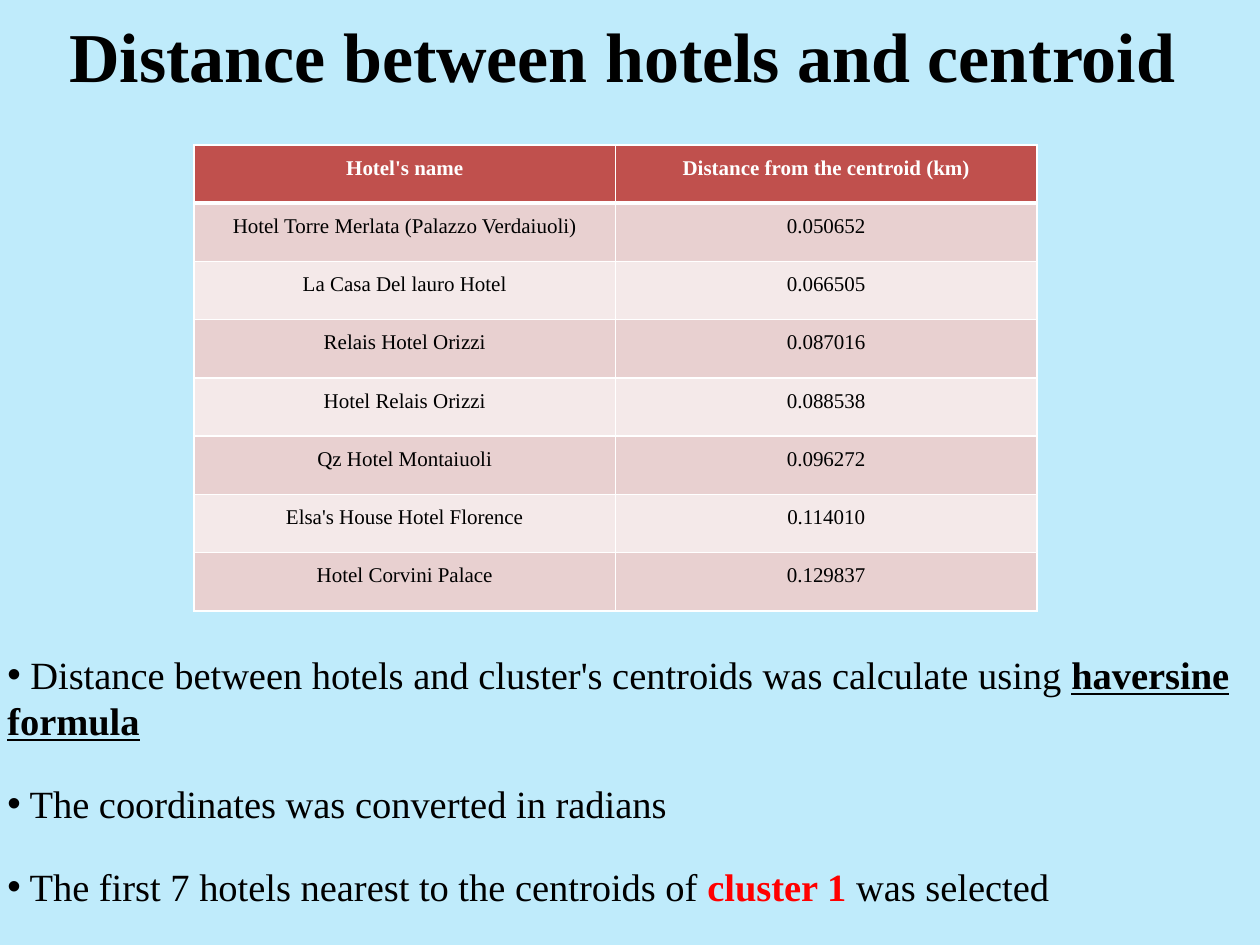
from dataclasses import dataclass
from typing import Optional

import lxml.etree
import pptx
import pptx.dml.color
import pptx.enum.text
import pptx.oxml.ns
import pptx.util

Inches = pptx.util.Inches
Pt = pptx.util.Pt
qn = pptx.oxml.ns.qn
ALIGN = pptx.enum.text.PP_ALIGN


@dataclass(frozen=True)
class Theme:
    font: str = "Times New Roman"
    background: str = "BFEBFB"
    ink: str = "000000"
    accent: str = "FF0000"
    border: str = "FFFFFF"
    header: str = "C0504D"
    bands: tuple[str, str] = ("E8D0D0", "F4E9E9")
    title_size: int = 40
    table_size: int = 12
    body_size: int = 22


@dataclass(frozen=True)
class Hotel:
    name: str
    distance: str


@dataclass(frozen=True)
class Phrase:
    text: str
    color: str = Theme.ink
    bold: bool = False
    underline: bool = False


THEME = Theme()
HEADINGS = ("Hotel's name", "Distance from the centroid (km)")
HOTELS = (
    Hotel("Hotel Torre Merlata (Palazzo Verdaiuoli)", "0.050652"),
    Hotel("La Casa Del lauro Hotel", "0.066505"),
    Hotel("Relais Hotel Orizzi", "0.087016"),
    Hotel("Hotel Relais Orizzi", "0.088538"),
    Hotel("Qz Hotel Montaiuoli", "0.096272"),
    Hotel("Elsa's House Hotel Florence", "0.114010"),
    Hotel("Hotel Corvini Palace", "0.129837"),
)
NOTES = (
    (
        Phrase(" Distance between hotels and cluster's centroids was calculate using "),
        Phrase("haversine formula", bold=True, underline=True),
    ),
    (Phrase(" The coordinates was converted in radians"),),
    (
        Phrase(" The first 7 hotels nearest to the centroids of "),
        Phrase("cluster 1 ", color=THEME.accent, bold=True),
        Phrase("was selected"),
    ),
)


def rgb(color: str) -> pptx.dml.color.RGBColor:
    return pptx.dml.color.RGBColor.from_string(color)


def add_text(paragraph, text: str, *, size: int, color: str = THEME.ink,
             bold: bool = False, underline: bool = False,
             align: Optional[ALIGN] = None) -> None:
    run = paragraph.add_run()
    run.text = text
    run.font.name = THEME.font
    run.font.size = Pt(size)
    run.font.color.rgb = rgb(color)
    run.font.bold = bold
    run.font.underline = underline
    if align is not None:
        paragraph.alignment = align


def set_border(cell, side: str, width: float) -> None:
    """Draw one cell side: L, R, T or B. Call before filling the cell."""
    line = lxml.etree.SubElement(
        cell._tc.get_or_add_tcPr(), qn(f"a:ln{side}"), w=str(Pt(width)))
    solid = lxml.etree.SubElement(line, qn("a:solidFill"))
    lxml.etree.SubElement(solid, qn("a:srgbClr"), val=THEME.border)


def format_cell(cell, text: str, row: int) -> None:
    is_header = row == 0
    widths = {"L": 1, "R": 1, "T": 3 if row == 1 else 1, "B": 3 if is_header else 1}
    for side, width in widths.items():
        set_border(cell, side, width)
    cell.fill.solid()
    cell.fill.fore_color.rgb = rgb(
        THEME.header if is_header else THEME.bands[(row - 1) % 2])
    cell.margin_left = cell.margin_right = Inches(0.07)
    cell.margin_top = cell.margin_bottom = 0
    paragraph = cell.text_frame.paragraphs[0]
    paragraph.line_spacing = 1.5
    add_text(paragraph, text, size=THEME.table_size, bold=is_header,
             color=THEME.border if is_header else THEME.ink, align=ALIGN.CENTER)


def add_title(slide) -> None:
    title = slide.shapes.title
    title.left, title.top = Inches(0.04), Inches(0.05)
    title.width, title.height = Inches(9.8), Inches(1.08)
    frame = title.text_frame
    frame.word_wrap = True
    frame.auto_size = pptx.enum.text.MSO_AUTO_SIZE.NONE
    frame.vertical_anchor = pptx.enum.text.MSO_ANCHOR.TOP
    add_text(frame.paragraphs[0], "Distance between hotels and centroid",
             size=THEME.title_size, bold=True, align=ALIGN.CENTER)


def add_hotel_table(slide) -> None:
    rows = [HEADINGS] + [(hotel.name, hotel.distance) for hotel in HOTELS]
    table = slide.shapes.add_table(
        len(rows), len(HEADINGS), Inches(1.54), Inches(1.15),
        Inches(6.69), Inches(3.7)).table
    for row, texts in enumerate(rows):
        for column, text in enumerate(texts):
            format_cell(table.cell(row, column), text, row)


def add_bullet(paragraph) -> None:
    properties = paragraph._p.get_or_add_pPr()
    lxml.etree.SubElement(properties, qn("a:buFont"), typeface="Arial")
    lxml.etree.SubElement(properties, qn("a:buChar"), char="•")


def add_notes_list(slide) -> None:
    frame = slide.shapes.add_textbox(
        Inches(-0.04), Inches(5.12), Inches(10.32), Inches(2.26)).text_frame
    frame.word_wrap = True
    for index, phrases in enumerate(NOTES):
        paragraph = frame.add_paragraph() if index else frame.paragraphs[0]
        if index:
            paragraph.space_before = Pt(21)
        add_bullet(paragraph)
        for phrase in phrases:
            add_text(paragraph, phrase.text, size=THEME.body_size, color=phrase.color,
                     bold=phrase.bold, underline=phrase.underline)


def main() -> None:
    deck = pptx.Presentation()
    deck.slide_width, deck.slide_height = Inches(10), Inches(7.5)
    slide = deck.slides.add_slide(deck.slide_layouts[5])
    slide.background.fill.solid()
    slide.background.fill.fore_color.rgb = rgb(THEME.background)
    add_title(slide)
    add_hotel_table(slide)
    add_notes_list(slide)
    deck.save("out.pptx")


if __name__ == "__main__":
    main()
